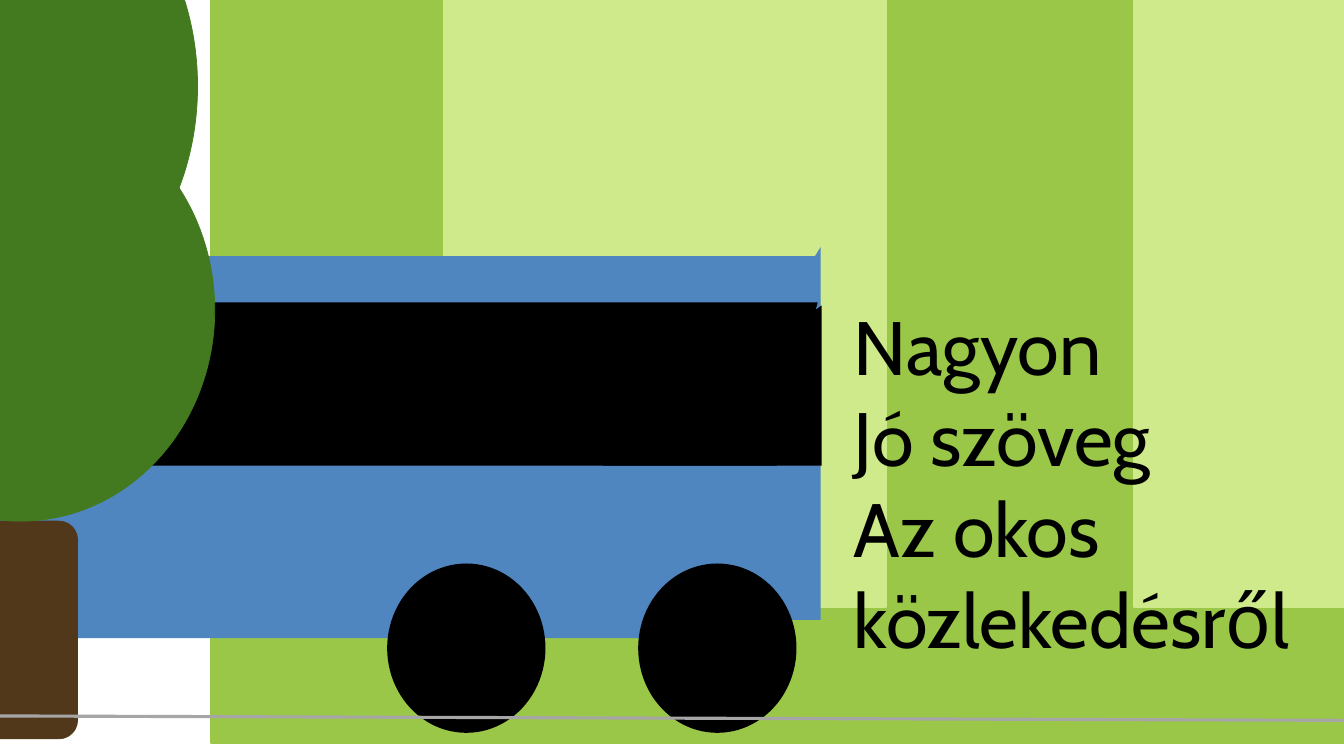
from lxml.etree import SubElement
from pptx import Presentation
from pptx.dml.color import RGBColor
from pptx.enum.shapes import MSO_CONNECTOR, MSO_SHAPE as SHAPE
from pptx.enum.text import MSO_AUTO_SIZE
from pptx.oxml.ns import qn
from pptx.util import Inches, Pt

COLUMN = ROW = Inches(1)
COLUMNS, ROWS = 13.33, 7.5

MEADOW, STRIPE = "9AC748", "CFEA8A"
BUS, BLACK = "4F86C0", "000000"
TRUNK, LEAVES, ROAD = "51381B", "43791F", "A6A6A6"


def color(hex_value):
    return RGBColor.from_string(hex_value)


def place(column, row, columns, rows):
    return (round(column * COLUMN), round(row * ROW),
            round(columns * COLUMN), round(rows * ROW))


def add_block(scene, kind, area, fill, outline=0, flip=None):
    block = scene.add_shape(kind, *place(*area))
    block.shadow.inherit = False
    block.fill.solid()
    block.fill.fore_color.rgb = color(fill)
    if outline:
        block.line.color.rgb = color(fill)
        block.line.width = Pt(outline)
    else:
        block.line.fill.background()
    if flip:
        block.element.spPr.find(qn("a:xfrm")).set(flip, "1")


def add_text(scene, text, area, size=54, font="Cabin", fill=BLACK):
    box = scene.add_textbox(*place(*area))
    frame = box.text_frame
    frame.word_wrap = True
    frame.auto_size = MSO_AUTO_SIZE.SHAPE_TO_FIT_TEXT
    frame.text = text
    for paragraph in frame.paragraphs:
        paragraph.font.size = Pt(size)
        paragraph.font.name = font
        paragraph.font.color.rgb = color(fill)


def add_road(scene, start, end):
    road = scene.add_connector(MSO_CONNECTOR.STRAIGHT, *place(*start, *end))
    road.line.color.rgb = color(ROAD)
    road.line.width = Pt(2.25)
    SubElement(road.element.spPr, qn("a:effectLst"))


def add_meadow(scene):
    add_block(scene, SHAPE.RECTANGLE, (2.09, -28.11, 23.26, 35.48), MEADOW, 1.5)
    for column in (4.4, 11.25):
        add_block(scene, SHAPE.RECTANGLE, (column, -0.45, 4.39, 6.47), STRIPE, 1.5)


def add_bus(scene):
    add_block(scene, SHAPE.PARALLELOGRAM, (-3.62, 2.54, 11.73, 3.79), BUS)
    add_block(scene, SHAPE.RIGHT_TRIANGLE, (5.88, 2.45, 2.26, 3.7), BUS, flip="flipH")
    for column in (3.84, 6.33):
        add_block(scene, SHAPE.OVAL, (column, 5.59, 1.57, 1.68), BLACK, flip="flipV")
    add_block(scene, SHAPE.PARALLELOGRAM, (-3.12, 3, 11.23, 1.62), BLACK)
    add_block(scene, SHAPE.RIGHT_TRIANGLE, (5.98, 3.03, 2.17, 1.59), BLACK, flip="flipH")


def add_tree(scene):
    add_block(scene, SHAPE.ROUNDED_RECTANGLE, (-0.34, 5.17, 1.11, 2.16), TRUNK, 0.5)
    for crown in ((-1.72, 0.98, 3.85, 4.19), (-1.54, -1.41, 3.5, 4.53)):
        add_block(scene, SHAPE.OVAL, crown, LEAVES, 0.5)


def main():
    deck = Presentation()
    deck.slide_width, deck.slide_height = place(0, 0, COLUMNS, ROWS)[2:]
    scene = deck.slides.add_slide(deck.slide_layouts[6]).shapes
    for add_part in (add_meadow, add_bus, add_tree):
        add_part(scene.add_group_shape().shapes)
    add_road(scene, (-25.3, 7.02), (121.31, 7.5))
    add_text(scene, "Nagyon\nJó szöveg\nAz okos\nközlekedésről",
             (8.37, 2.93, 10.54, 3.74))
    deck.save("out.pptx")


if __name__ == "__main__":
    main()
